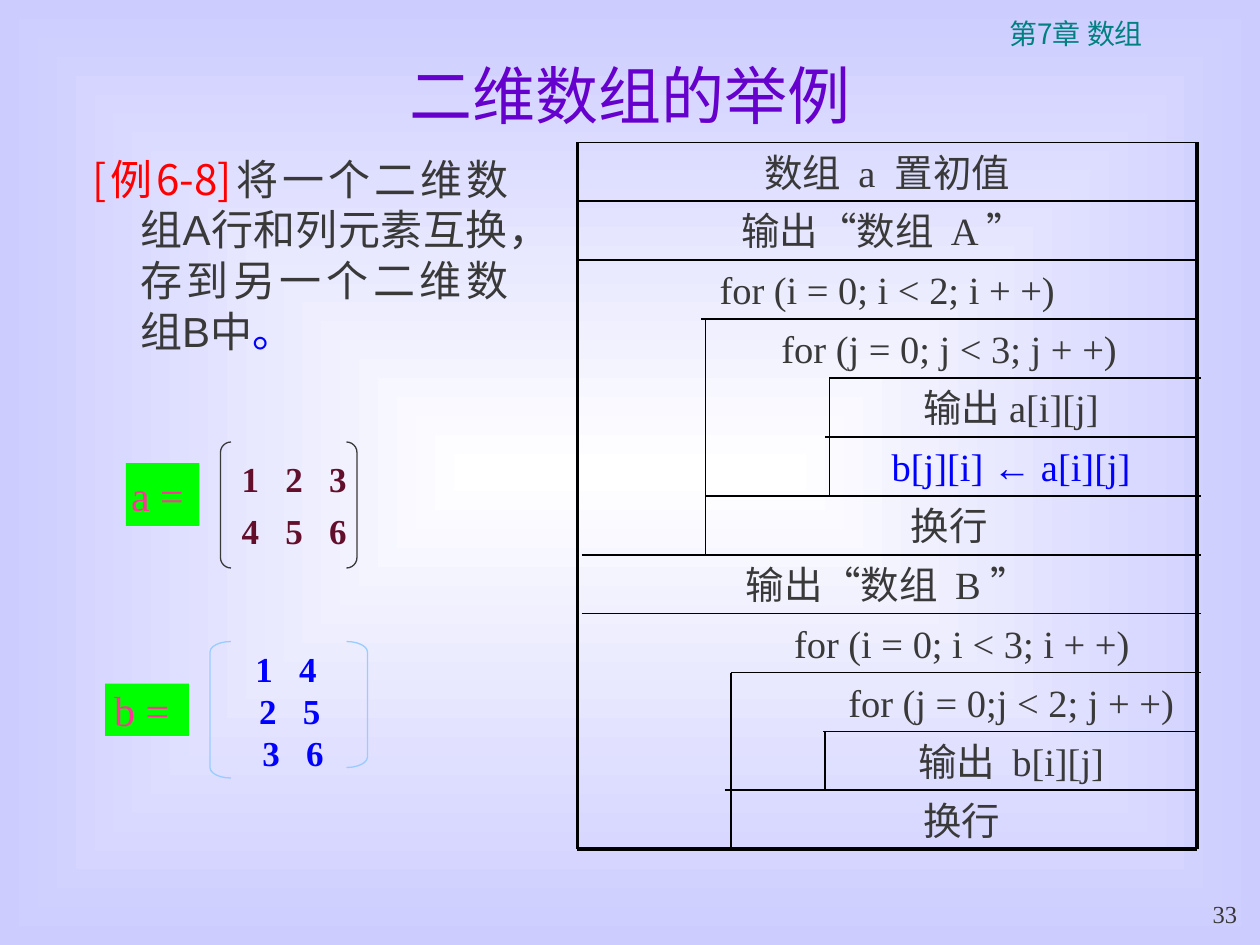
from dataclasses import dataclass
from lxml import etree
from pptx import Presentation
from pptx.dml.color import RGBColor
from pptx.enum.shapes import MSO_CONNECTOR as Connector, MSO_SHAPE as Preset
from pptx.enum.text import MSO_ANCHOR as Anchor, MSO_AUTO_SIZE as AutoSize, PP_ALIGN as Align
from pptx.oxml.ns import qn
from pptx.util import Inches, Pt


@dataclass(frozen=True)
class Theme:
    white: str = "FFFFFF"
    edge: str = "CCCCFF"
    teal: str = "008080"
    purple: str = "6600CC"
    red: str = "FF0000"
    gray: str = "393939"
    blue: str = "0000FF"
    green: str = "00FF00"
    pink: str = "FF3399"
    wine: str = "630F2B"
    sky: str = "99CCFF"
    black: str = "000000"
    serif: str = "Times New Roman"
    sans: str = "Arial"
    chinese: str = "Noto Sans CJK SC"
    header_font: str = "Noto Sans CJK JP"
    title_size: int = 36
    body_size: int = 24
    chart_size: int = 22
    matrix_size: int = 20
    header_size: int = 16
    number_size: int = 14


theme = Theme()
presentation = Presentation()
presentation.slide_width, presentation.slide_height = Inches(10), Inches(7.5)
column = presentation.slide_width / 120
row = presentation.slide_height / 90
slide = presentation.slides.add_slide(presentation.slide_layouts[6])


def write(shape, parts, size, font, align=Align.LEFT, anchor=Anchor.TOP, bold=False, wrap=True):
    frame = shape.text_frame
    frame.word_wrap = wrap
    frame.vertical_anchor = anchor
    paragraph = frame.paragraphs[0]
    paragraph.alignment = align
    paragraph.text = parts[0][0]
    for text, _ in parts[1:]:
        paragraph.add_run().text = text
    for run, (_, color) in zip(paragraph.runs, parts):
        run.font.size, run.font.name, run.font.bold = Pt(size), font, bold
        run.font.color.rgb = RGBColor.from_string(color)
        etree.SubElement(run.font._element, qn("a:ea"), typeface=theme.chinese)
    return paragraph


def grid(left, top, width, height):
    return [round(left * column), round(top * row), round(width * column), round(height * row)]


fill = slide.background.fill
fill.gradient()
for stop, color in zip(fill.gradient_stops, (theme.white, theme.edge)):
    stop.color.rgb = RGBColor.from_string(color)
gradient = slide.background._cSld.find(".//" + qn("a:gradFill"))
gradient.remove(gradient.find(qn("a:lin")))
center = etree.SubElement(gradient, qn("a:path"), path="rect")
etree.SubElement(center, qn("a:fillToRect"), l="50000", t="50000", r="50000", b="50000")

header = slide.shapes.add_textbox(*grid(86, 1, 33, 4.4))
write(header, [("第7章 数组", theme.teal)], theme.header_size, theme.header_font, Align.CENTER)
title = slide.shapes.add_textbox(*grid(2, 5, 116, 8))
write(title, [("二维数组的举例", theme.purple)], theme.title_size, theme.sans, Align.CENTER, Anchor.MIDDLE)

body = slide.shapes.add_textbox(*grid(7.6, 14, 42, 62))
example = write(body, [
    ("[例6-8]", theme.red),
    ("将一个二维数组A行和列元素互换，存到另一个二维数组B中", theme.gray),
    ("。", theme.blue),
], theme.body_size, theme.sans, Align.JUSTIFY)
example.runs[0].font.name = theme.chinese
example.space_before, example.line_spacing = Pt(6), Pt(28.9)
indent = Inches(0.38)
example._p.get_or_add_pPr().set("marL", str(indent))
example._p.get_or_add_pPr().set("indent", str(-indent))

brackets = [
    (Preset.LEFT_BRACKET, 21, 42.1, 1, 12, 1, theme.gray),
    (Preset.RIGHT_BRACKET, 33, 42.1, 1, 12, 1, theme.gray),
    (Preset.LEFT_BRACKET, 20, 61.1, 2, 13, 0.5, theme.sky),
    (Preset.RIGHT_BRACKET, 33, 61.1, 2, 12, 0.5, theme.sky),
]
for preset, left, top, width, height, curve, color in brackets:
    bracket = slide.shapes.add_shape(preset, *grid(left, top, width, height))
    bracket.adjustments[0] = curve
    bracket.shadow.inherit = False
    bracket.fill.background()
    bracket.line.color.rgb = RGBColor.from_string(color)
    bracket.line.width = Pt(0.75)

for text, left, top, width, height in [("a = ", 12, 44.1, 7, 6), ("b = ", 10, 65.1, 8, 5)]:
    label = slide.shapes.add_shape(Preset.RECTANGLE, *grid(left, top, width, height))
    label.shadow.inherit = False
    label.fill.solid()
    label.fill.fore_color.rgb = RGBColor.from_string(theme.green)
    label.line.fill.background()
    write(label, [(text, theme.pink)], theme.body_size, theme.serif, Align.CENTER, Anchor.MIDDLE, wrap=False)

matrix_rows = [
    (" 1   2   3", 21, 43, 13.4, theme.wine),
    (" 4   5   6", 21, 47.9, 13.4, theme.wine),
    (" 1   4", 22.3, 61.1, 9.2, theme.blue),
    ("2   5", 23.5, 65.1, 8.4, theme.blue),
    ("3   6", 23.8, 69.1, 8.4, theme.blue),
]
for text, left, top, width, color in matrix_rows:
    numbers = slide.shapes.add_textbox(*grid(left, top, width, 5.3))
    write(numbers, [(text, color)], theme.matrix_size, theme.serif, bold=True, wrap=False)
    numbers.text_frame.auto_size = AutoSize.SHAPE_TO_FIT_TEXT

chart_left, chart_right, chart_top, step = 55, 114, 13.56, 5.61
steps = [
    ("数组  a  置初值", 55, theme.gray),
    ("输出“数组  A ” ", 55, theme.gray),
    ("for (i = 0; i < 2; i + +)", 55, theme.gray),
    ("for (j = 0; j < 3; j + +)", 66.8, theme.gray),
    ("输出 a[i][j]", 78.6, theme.gray),
    ("b[j][i] ← a[i][j]", 78.6, theme.blue),
    ("换行", 66.8, theme.gray),
    ("输出“数组  B ”", 55, theme.gray),
    ("for (i = 0; i < 3; i + +)", 69.2, theme.gray),
    ("for (j = 0;j < 2; j + +)", 78.6, theme.gray),
    ("输出  b[i][j]", 78.6, theme.gray),
    ("换行", 69.2, theme.gray),
]
for index, (text, left, color) in enumerate(steps):
    cell = slide.shapes.add_textbox(*grid(left, chart_top + index * step, chart_right - left, step))
    write(cell, [(text, color)], theme.chart_size, theme.serif, Align.CENTER).space_before = Pt(5.5)

rules = [
    (55, 114), (55, 114), (55, 114), (66.8, 114), (79, 114.4), (78.6, 114),
    (67.2, 114.4), (55.4, 114.4), (55.4, 114.4), (69.6, 114.4), (78.4, 113.8), (69, 113.8),
]
lines = [(start, index, end, index, 1) for index, (start, end) in enumerate(rules)]
lines += [(67.2, 3, 67.2, 7, 1), (79, 4, 79, 6, 1), (69.6, 9, 69.6, 12, 1), (78.6, 10, 78.6, 11, 1)]
lines += [
    (chart_left, 12, chart_right, 12, 2.25),
    (chart_left, 0, chart_left, 12, 2.25),
    (chart_right, 0, chart_right, 12, 2.25),
]
for start, first, end, last, weight in lines:
    ends = grid(start, chart_top + first * step, end, chart_top + last * step)
    line = slide.shapes.add_connector(Connector.STRAIGHT, *ends)
    line.line.color.rgb = RGBColor.from_string(theme.black)
    line.line.width = Pt(weight)
    etree.SubElement(line._element.spPr, qn("a:effectLst"))

number = slide.shapes.add_textbox(*grid(112, 85, 7, 4))
write(number, [("33", theme.gray)], theme.number_size, theme.serif, Align.RIGHT, Anchor.BOTTOM)

presentation.save("out.pptx")
